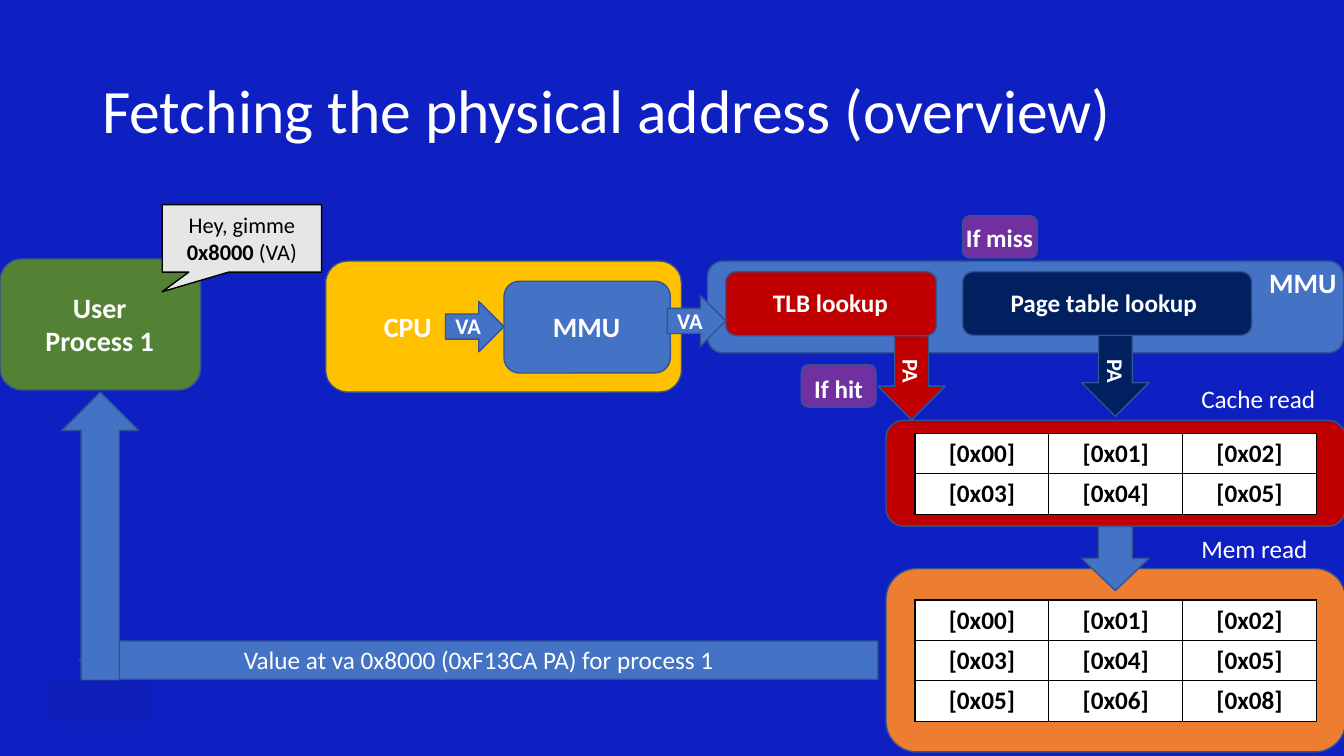
import pptx
import pptx.util
import pptx.dml.color
import pptx.enum.shapes
import pptx.enum.text
import pptx.oxml

Pt = pptx.util.Pt
RGBColor = pptx.dml.color.RGBColor
SHAPE = pptx.enum.shapes.MSO_SHAPE
ALIGN = pptx.enum.text.PP_ALIGN
MIDDLE = pptx.enum.text.MSO_ANCHOR.MIDDLE

FONT = "Calibri"
BACKDROP = RGBColor(0x0F, 0x20, 0xC3)
PATCH = RGBColor(0x0E, 0x1E, 0xB8)
WHITE = RGBColor(0xFF, 0xFF, 0xFF)
BLACK = RGBColor(0, 0, 0)
OUTLINE = RGBColor(0x32, 0x54, 0x91)
GREEN = RGBColor(0x54, 0x82, 0x35)
GREY = RGBColor(0xE7, 0xE6, 0xE6)
YELLOW = RGBColor(0xFF, 0xC0, 0x00)
BLUE = RGBColor(0x44, 0x72, 0xC4)
ORANGE = RGBColor(0xED, 0x7D, 0x31)
RED = RGBColor(0xC0, 0x00, 0x00)
PURPLE = RGBColor(0x70, 0x30, 0xA0)
NAVY = RGBColor(0x00, 0x20, 0x60)

TITLE = "Fetching the physical address (overview)"
REQUEST = [("Hey, gimme ", False), ("0x8000 ", True), ("(VA)", False)]

# preset, fill, outline, (left, top, width, height), back to front
BLOCKS = [
    (SHAPE.ROUNDED_RECTANGLE, GREEN, OUTLINE, (0, 185, 143.3, 93.6)),    # user process
    (SHAPE.ROUNDED_RECTANGLE, YELLOW, OUTLINE, (232.6, 186.5, 254.2, 93.6)),  # CPU
    (SHAPE.ROUNDED_RECTANGLE, BLUE, OUTLINE, (360, 200.9, 118.8, 65.5)),  # MMU in CPU
    (SHAPE.RIGHT_ARROW, BLUE, OUTLINE, (318.2, 215.3, 41.8, 36)),
    (SHAPE.ROUNDED_RECTANGLE, ORANGE, OUTLINE, (632.9, 406.1, 328.3, 131)),  # memory
    (SHAPE.ROUNDED_RECTANGLE, RED, OUTLINE, (632.9, 300.2, 328.3, 75.6)),  # cache
    (SHAPE.DOWN_ARROW, BLUE, OUTLINE, (772.6, 375.8, 48.2, 46.1)),
    (SHAPE.LEFT_ARROW, BLUE, OUTLINE, (56.9, 444.2, 570.2, 54.7)),       # returned value
    (SHAPE.ROUNDED_RECTANGLE, BLUE, OUTLINE, (505.4, 186.5, 454.3, 65.5)),  # MMU detail
    (SHAPE.ROUNDED_RECTANGLE, RED, OUTLINE, (518.4, 194.1, 150.5, 45.7)),  # TLB
    (SHAPE.DOWN_ARROW, RED, OUTLINE, (627.1, 239.8, 48.2, 60.1)),
    (SHAPE.ROUNDED_RECTANGLE, PURPLE, OUTLINE, (572.4, 260.6, 53.3, 30.2)),  # hit
    (SHAPE.RIGHT_ARROW, BLUE, OUTLINE, (476.6, 211.3, 41.8, 36)),
    (SHAPE.DOWN_ARROW, NAVY, OUTLINE, (772.6, 237.6, 48.2, 59.8)),
    (SHAPE.ROUNDED_RECTANGLE, NAVY, OUTLINE, (687.6, 194.1, 206.6, 45.4)),  # page table
    (SHAPE.ROUNDED_RECTANGLE, PURPLE, OUTLINE, (687.6, 154.1, 53.3, 30.2)),  # miss
    (SHAPE.UP_ARROW, BLUE, OUTLINE, (44.3, 280.1, 54.7, 205.9)),         # back to process
    (SHAPE.RECTANGLE, PATCH, None, (36, 486, 72.7, 28.8)),
]

# text, size, bold, alignment, rotation, (left, top, width, height)
LABELS = [
    ("User Process 1", 20, True, ALIGN.CENTER, 0, (15.8, 203.8, 110.9, 55.4)),
    ("CPU", 20, True, ALIGN.CENTER, 0, (265, 217.4, 52.6, 31.7)),
    ("MMU", 20, True, ALIGN.CENTER, 0, (386.6, 217.4, 64.8, 31.7)),
    ("MMU", 20, True, ALIGN.CENTER, 0, (898.2, 185.8, 64.8, 31.7)),
    ("VA", 16, True, ALIGN.LEFT, 0, (318.2, 219.6, 37.4, 26.6)),
    ("VA", 16, True, ALIGN.LEFT, 0, (476.6, 215.7, 37.4, 26.6)),
    ("PA", 16, True, ALIGN.LEFT, 90, (632.2, 254.9, 37.4, 26.6)),
    ("PA", 16, True, ALIGN.LEFT, 90, (778.3, 254.9, 37.4, 26.6)),
    ("TLB lookup", 18, True, ALIGN.CENTER, 0, (544.3, 201.6, 97.9, 28.8)),
    ("Page table lookup", 18, True, ALIGN.CENTER, 0, (700.6, 201.6, 175.7, 28.8)),
    ("If hit", 18, True, ALIGN.CENTER, 0, (572.4, 262.8, 53.3, 28.8)),
    ("If miss", 18, True, ALIGN.CENTER, 0, (681.1, 155.5, 65.5, 28.8)),
    ("Cache read", 18, False, ALIGN.LEFT, 0, (851, 270, 110.2, 28.8)),
    ("Mem read", 18, False, ALIGN.LEFT, 0, (851, 377.3, 110.2, 28.8)),
    ("Value at va 0x8000 (0xF13CA PA) for process 1", 18, False, ALIGN.CENTER, 0,
     (150.5, 456.5, 383, 28.8)),
]

CACHE = [["[0x00]", "[0x01]", "[0x02]"], ["[0x03]", "[0x04]", "[0x05]"]]
MEMORY = CACHE + [["[0x05]", "[0x06]", "[0x08]"]]
GRID_LEFT, COLUMN_WIDTH, ROW_HEIGHT = 653.6, 95.6, 28.8
GRIDS = [(CACHE, 309.6), (MEMORY, 428.6)]


def points(box):
    return [Pt(length) for length in box]


def set_font(font, size, color, bold=None):
    font.name, font.size, font.bold = FONT, Pt(size), bold
    font.color.rgb = color


def add_block(slide, preset, fill, outline, box):
    block = slide.shapes.add_shape(preset, *points(box))
    block.shadow.inherit = False
    block.fill.solid()
    block.fill.fore_color.rgb = fill
    if outline is None:
        block.line.fill.background()
    else:
        block.line.color.rgb = outline
        block.line.width = Pt(1)
    return block


def add_label(slide, text, size, bold, alignment, rotation, box):
    label = slide.shapes.add_textbox(*points(box))
    label.rotation = rotation
    label.text_frame.word_wrap = True
    paragraph = label.text_frame.paragraphs[0]
    paragraph.text = text
    paragraph.alignment = alignment
    set_font(paragraph.font, size, WHITE, bold)
    return label


def add_borders(cell):
    properties = cell._tc.get_or_add_tcPr()
    for position, side in enumerate(("lnL", "lnR", "lnT", "lnB")):
        properties.insert(position, pptx.oxml.parse_xml(
            f'<a:{side} xmlns:a="http://schemas.openxmlformats.org/drawingml/2006/main" '
            f'w="12700"><a:solidFill><a:srgbClr val="{BLACK}"/></a:solidFill></a:{side}>'))


def add_address_grid(slide, rows, top):
    columns = len(rows[0])
    box = (GRID_LEFT, top, COLUMN_WIDTH * columns, ROW_HEIGHT * len(rows))
    grid = slide.shapes.add_table(len(rows), columns, *points(box)).table
    for r, row in enumerate(rows):
        for c, address in enumerate(row):
            cell = grid.cell(r, c)
            cell.fill.solid()
            cell.fill.fore_color.rgb = WHITE
            add_borders(cell)
            paragraph = cell.text_frame.paragraphs[0]
            paragraph.text = address
            paragraph.alignment = ALIGN.CENTER
            set_font(paragraph.font, 18, BLACK, True)


def add_request(slide):
    callout = add_block(slide, SHAPE.RECTANGULAR_CALLOUT, GREY, BLACK,
                        (115.9, 146.2, 113.8, 48.2))
    callout.adjustments[0], callout.adjustments[1] = -0.5, 0.79
    callout.text_frame.word_wrap = True
    callout.text_frame.vertical_anchor = MIDDLE
    paragraph = callout.text_frame.paragraphs[0]
    paragraph.alignment = ALIGN.CENTER
    for text, bold in REQUEST:
        run = paragraph.add_run()
        run.text = text
        set_font(run.font, 16, BLACK, bold)


def main():
    deck = pptx.Presentation()
    deck.slide_width, deck.slide_height = Pt(960), Pt(540)
    slide = deck.slides.add_slide(deck.slide_layouts[6])
    slide.background.fill.solid()
    slide.background.fill.fore_color.rgb = BACKDROP

    title = add_label(slide, TITLE, 44, False, ALIGN.LEFT, 0, (66, 28.8, 828, 104.4))
    title.text_frame.vertical_anchor = MIDDLE
    title.text_frame.paragraphs[0].line_spacing = 0.9
    for block in BLOCKS:
        add_block(slide, *block)
    add_request(slide)
    for rows, top in GRIDS:
        add_address_grid(slide, rows, top)
    for label in LABELS:
        add_label(slide, *label)
    deck.save("out.pptx")


if __name__ == "__main__":
    main()
